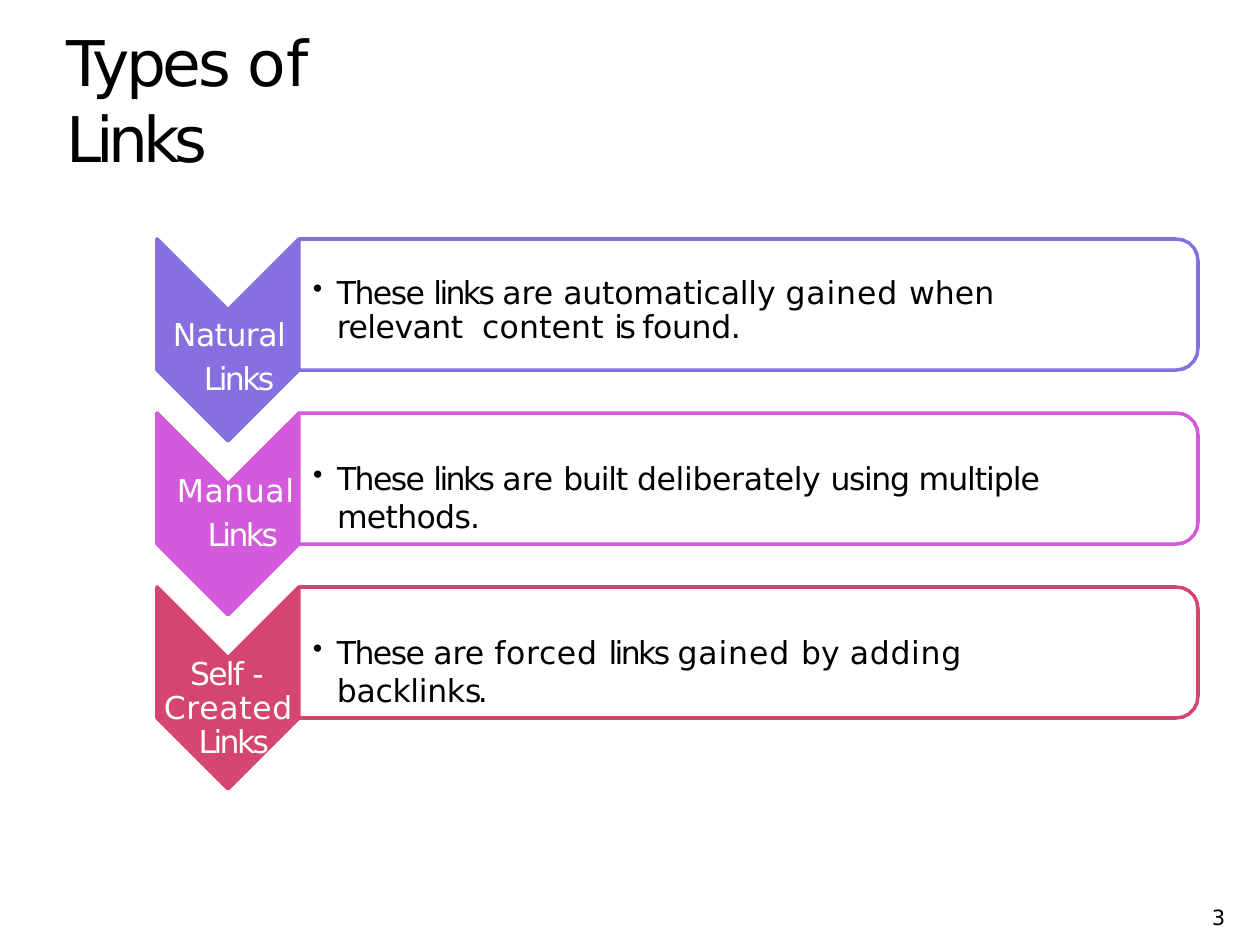
from lxml import etree
from pptx import Presentation
from pptx.dml.color import RGBColor
from pptx.enum.text import MSO_ANCHOR, MSO_AUTO_SIZE, PP_ALIGN
from pptx.oxml.ns import qn
from pptx.util import Pt

TOP = MSO_ANCHOR.TOP
GROW = MSO_AUTO_SIZE.SHAPE_TO_FIT_TEXT
LEFT, CENTER = PP_ALIGN.LEFT, PP_ALIGN.CENTER

PX = 914400 / 126  # EMU per px
FONT = "DejaVu Sans"
COLORS = {
    "text": "000000", "white": "FFFFFF",
    "natural": "8670E0", "manual": "D35ADB", "self": "D44570",
}

# Row geometry in px
ROW_TOP, ROW_PITCH, ROW_HEIGHT = 239, 174, 131
CHEVRON_LEFT, BOX_LEFT, BOX_RIGHT = 157, 299, 1198
CHEVRON_DEPTH = 71
# Corner points as (inset from right, offset from edge)
CORNER = [(22, 0), (15, 1), (9, 4), (4, 9), (1, 15), (0, 22)]

# Each run is (text, letter spacing in points)
TITLE = [("Types ", -1.9), ("of ", 0.1), ("Links", -3)]
ROWS = [
    {
        "color": "natural",
        "label": [("Natural  ", -0.3), ("Links", -1.5)],
        "label_at": (170, 305, 116, 92),
        "label_format": {"indent": (24, -21), "line_spacing": 1.18},
        "detail": [("These ", -0.9), ("links ", -1.5), ("are ", 0),
                   ("automatically ", -0.1), ("gained ", 0.5), ("when ", 0),
                   ("relevant  ", -0.3), ("content ", 0.1), ("is ", -2),
                   ("found.", -0.2)],
        "detail_at": (312, 265, 809, 76),
        "detail_format": {"line_spacing": Pt(19.4), "inset": 12},
    },
    {
        "color": "manual",
        "label": [("Manual  ", 0.3), ("Links", -1.5)],
        "label_at": (176, 461, 120, 92),
        "label_format": {"indent": (21, -20), "line_spacing": 1.18},
        "detail": [("These ", -0.9), ("links ", -1.5), ("are ", 0),
                   ("built ", -0.7), ("deliberately ", -0.2), ("using ", -0.8),
                   ("multiple ", -0.6), ("methods.", -0.4)],
        "detail_at": (312, 456, 873, 42),
        "detail_format": {},
    },
    {
        "color": "self",
        "label": [("Self ", -1), ("-  ", -1.9), ("Created  ", 0.4),
                  ("Links", -1.5)],
        "label_at": (161, 648, 134, 110),
        "label_format": {"indent": (1, 0), "line_spacing": 0.9,
                         "align": CENTER, "inset": 10},
        "detail": [("These ", -0.9), ("are ", 0), ("forced ", 0.4),
                   ("links ", -1.5), ("gained ", 0.5), ("by ", 0),
                   ("adding ", 0.4), ("backlink", -0.2), ("s.", -2)],
        "detail_at": (312, 630, 796, 42),
        "detail_format": {},
    },
]


def emu(px):
    return round(px * PX)


def rgb(name):
    return RGBColor.from_string(COLORS[name])


def add_bullet(properties, tab):
    etree.SubElement(properties, qn("a:buSzPct"), val="89000")
    etree.SubElement(properties, qn("a:buChar"), char="•")
    tabs = etree.SubElement(properties, qn("a:tabLst"))
    etree.SubElement(tabs, qn("a:tab"), pos=str(emu(tab)), algn="l")


def fill_text(shape, at, runs, size, color="text", indent=(0, 0),
              line_spacing=None, align=LEFT, inset=3, bullet=False):
    shape.left, shape.top, shape.width, shape.height = map(emu, at)
    frame = shape.text_frame
    frame.word_wrap = True
    frame.auto_size = GROW
    frame.vertical_anchor = TOP
    frame.margin_left = frame.margin_right = frame.margin_bottom = 0
    frame.margin_top = emu(inset)
    paragraph = frame.paragraphs[0]
    properties = paragraph._p.get_or_add_pPr()
    properties.set("marL", str(emu(indent[0])))
    properties.set("indent", str(emu(indent[1])))
    if bullet:
        add_bullet(properties, indent[0])
    paragraph.alignment = align
    paragraph.space_before = Pt(0)
    if line_spacing:
        paragraph.line_spacing = line_spacing
    for text, spacing in runs:
        run = paragraph.add_run()
        run.text = text
        run.font.name = FONT
        run.font.size = Pt(size)
        run.font.color.rgb = rgb(color)
        run._r.get_or_add_rPr().set("spc", str(round(spacing * 100)))


def add_text(slide, at, runs, size, **text_format):
    fill_text(slide.shapes.add_textbox(0, 0, 0, 0), at, runs, size,
              **text_format)


def add_outline(slide, points, fill, line):
    builder = slide.shapes.build_freeform(*points[0], scale=PX)
    builder.add_line_segments(points[1:], close=True)
    outline = builder.convert_to_shape()
    outline.shadow.inherit = False
    outline.fill.solid()
    outline.fill.fore_color.rgb = rgb(fill)
    outline.line.color.rgb = rgb(line)
    outline.line.width = Pt(2)


def add_chevron(slide, top, color):
    middle = (CHEVRON_LEFT + BOX_LEFT) / 2
    bottom = top + ROW_HEIGHT
    add_outline(slide, [
        (CHEVRON_LEFT, top), (middle, top + CHEVRON_DEPTH), (BOX_LEFT, top),
        (BOX_LEFT, bottom), (middle, bottom + CHEVRON_DEPTH),
        (CHEVRON_LEFT, bottom),
    ], color, color)


def add_detail_box(slide, top, color):
    bottom = top + ROW_HEIGHT
    upper = [(BOX_RIGHT - dx, top + dy) for dx, dy in CORNER]
    lower = [(BOX_RIGHT - dx, bottom - dy) for dx, dy in reversed(CORNER)]
    add_outline(slide, [(BOX_LEFT, top), *upper, *lower, (BOX_LEFT, bottom)],
                "white", color)


def main():
    deck = Presentation()
    deck.slide_width, deck.slide_height = emu(1260), emu(945)
    slide = deck.slides.add_slide(deck.slide_layouts[5])

    # Title
    fill_text(slide.shapes.title, (66, 21, 404, 79), TITLE, 36, indent=(1, 0))

    # One chevron and detail box per link type
    for index, row in enumerate(ROWS):
        top = ROW_TOP + index * ROW_PITCH
        add_chevron(slide, top, row["color"])
        add_text(slide, row["label_at"], row["label"], 18, color="white",
                 **row["label_format"])
        add_detail_box(slide, top, row["color"])
        add_text(slide, row["detail_at"], row["detail"], 18, indent=(25, -24),
                 bullet=True, **row["detail_format"])

    # Slide number
    add_text(slide, (1207, 902, 23, 29), [("3", -1)], 12, indent=(5, 0))

    deck.save("out.pptx")


if __name__ == "__main__":
    main()
